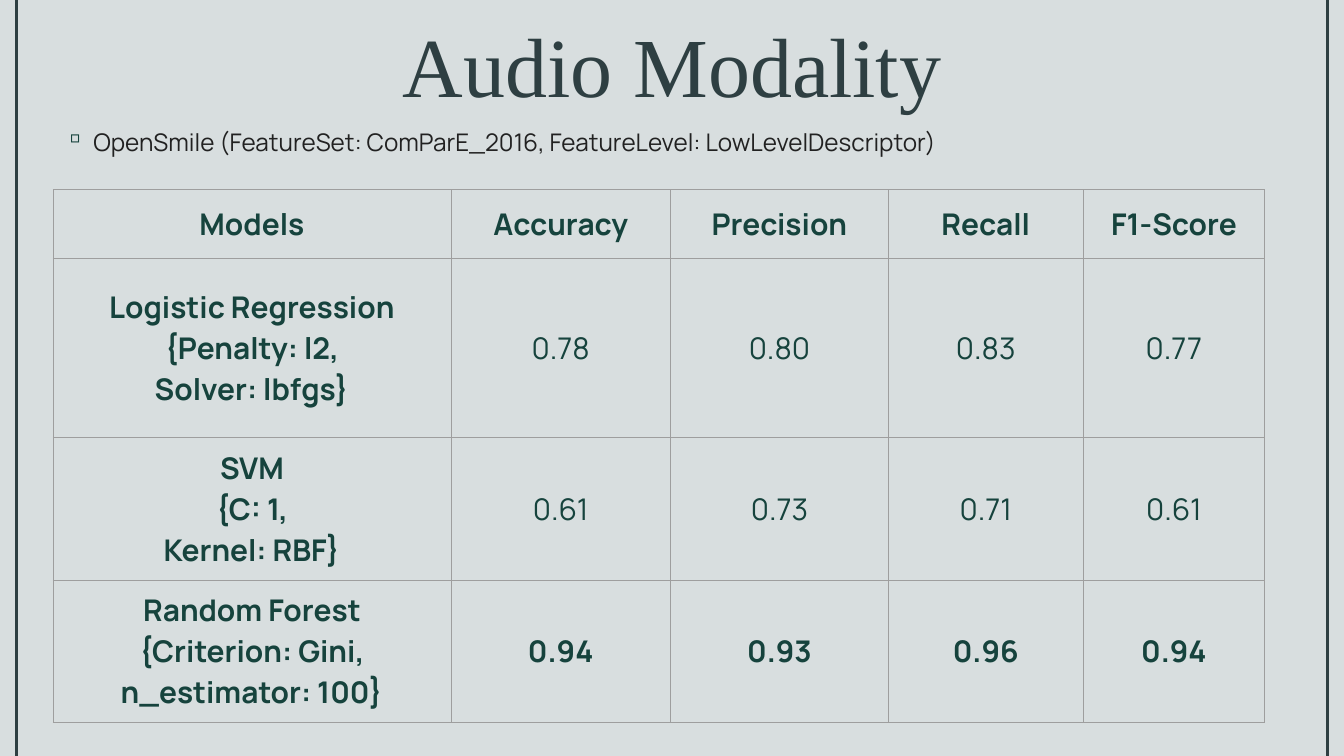
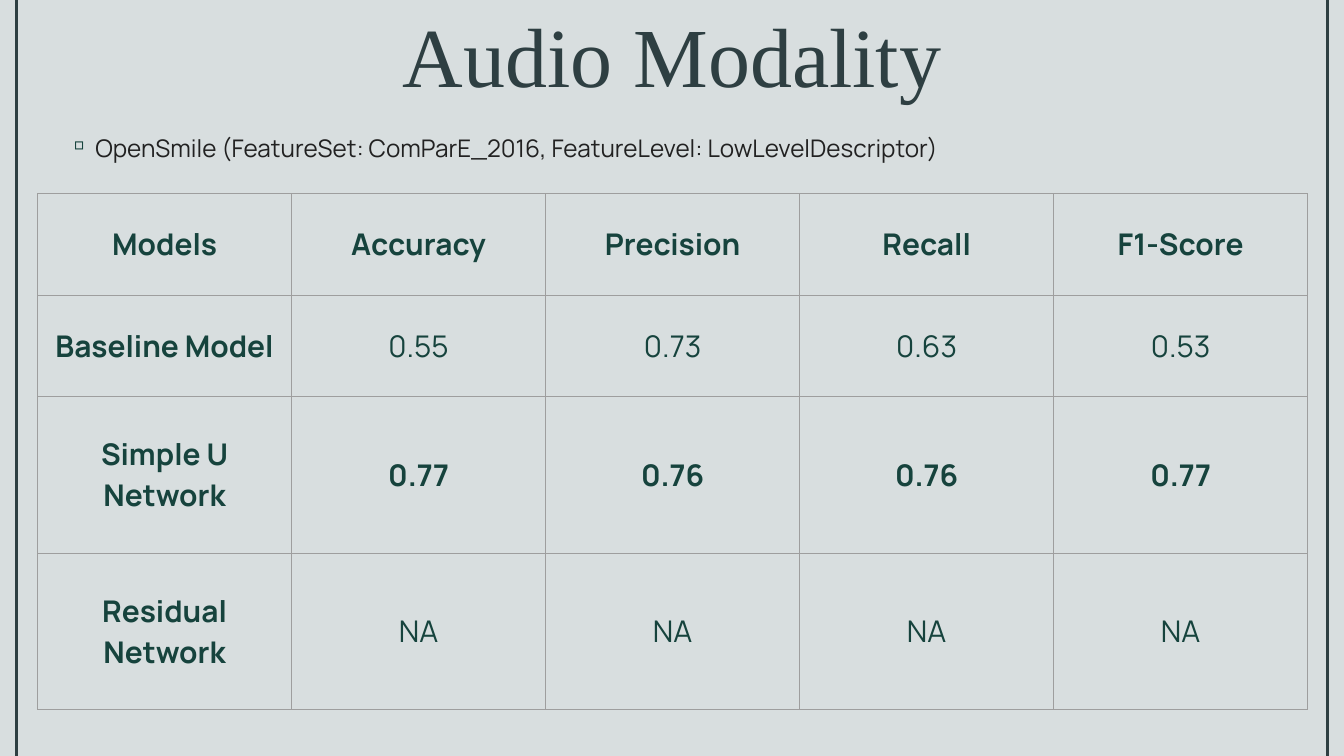
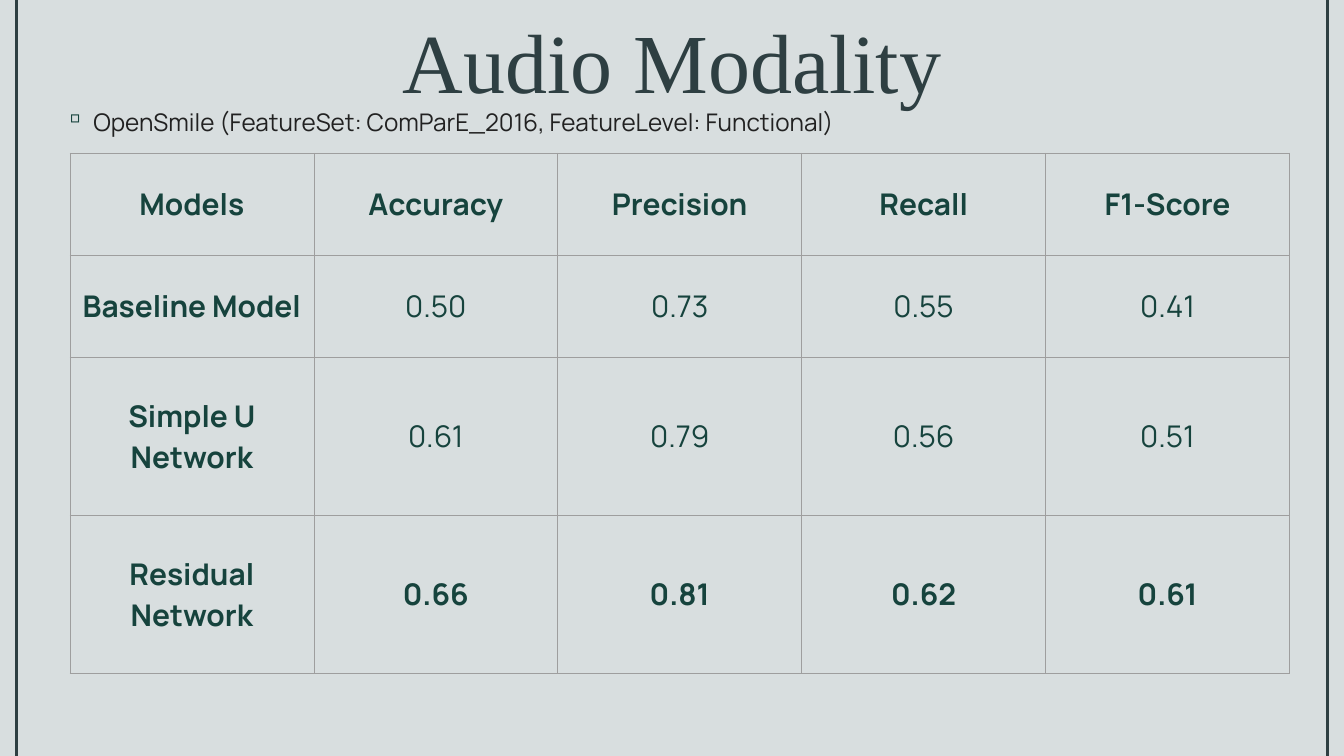
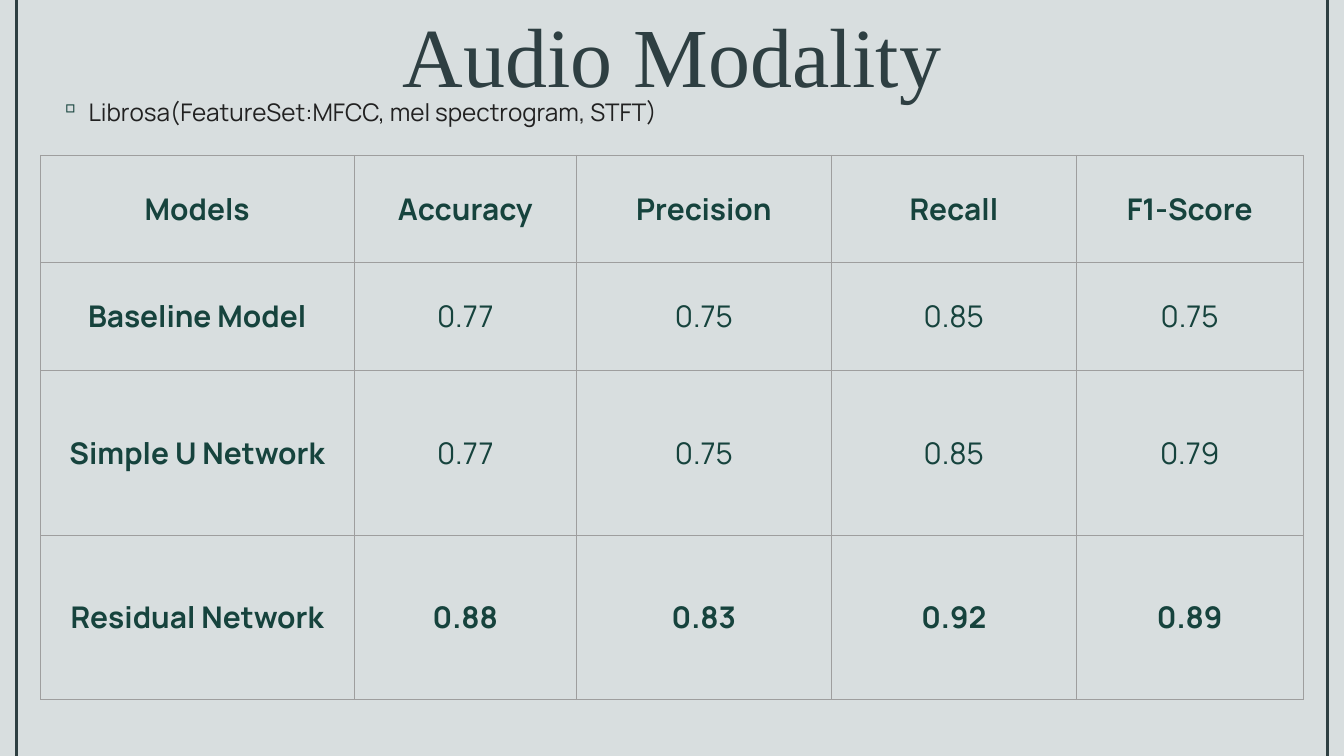
from dataclasses import dataclass

from lxml.etree import SubElement
from pptx import Presentation
from pptx.dml.color import RGBColor
from pptx.enum.shapes import MSO_CONNECTOR
from pptx.enum.text import MSO_ANCHOR, MSO_AUTO_SIZE, PP_ALIGN
from pptx.oxml.ns import qn
from pptx.slide import Slide
from pptx.table import _Cell
from pptx.text.text import TextFrame, _Paragraph
from pptx.util import Inches, Pt


@dataclass(frozen=True)
class Theme:
    background: str = "D8DEDF"
    slate: str = "2E3F42"
    green: str = "16433D"
    body: str = "212121"
    grid: str = "9E9E9E"
    title_font: str = "Times New Roman"
    body_font: str = "Manrope"
    title_size: float = 90
    table_size: float = 32
    bullet_size: float = 26
    rail_width: float = 3
    grid_width: float = 0.75


@dataclass(frozen=True)
class Box:
    left: float
    top: float
    width: float
    height: float


@dataclass(frozen=True)
class ResultTable:
    left: float
    top: float
    column_widths: list[float]
    row_heights: list[float]
    rows: list[tuple[str, ...]]
    best_row: int


@dataclass(frozen=True)
class ResultSlide:
    title_top: float
    feature_box: Box
    features: str
    table: ResultTable
    hanging: float = 0.43


THEME = Theme()
SLIDE_WIDTH, SLIDE_HEIGHT = 20, 11.25
RAIL_MARGIN = 0.24
TITLE = "Audio Modality"
HEADER = ("Models", "Accuracy", "Precision", "Recall", "F1-Score")
OPENSMILE = "OpenSmile (FeatureSet: ComParE_2016, FeatureLevel: {})"

SLIDES = [
    ResultSlide(
        0.16, Box(0.79, 1.79, 18.38, 0.93), OPENSMILE.format("LowLevelDescriptor"),
        ResultTable(0.79, 2.82, [5.92, 3.27, 3.24, 2.9, 2.7], [1.02, 2.67, 2.12, 2.12], [
            ("Logistic Regression\n{Penalty: l2,\nSolver: lbfgs}", "0.78", "0.80", "0.83", "0.77"),
            ("SVM\n{C: 1,\nKernel: RBF}", "0.61", "0.73", "0.71", "0.61"),
            ("Random Forest\n{Criterion: Gini, n_estimator: 100}", "0.94", "0.93", "0.96", "0.94"),
        ], best_row=3),
    ),
    ResultSlide(
        0, Box(0.82, 1.89, 13.34, 1.37), OPENSMILE.format("LowLevelDescriptor"),
        ResultTable(0.56, 2.88, [3.78] * 5, [1.51, 1.51, 2.33, 2.33], [
            ("Baseline Model", "0.55", "0.73", "0.63", "0.53"),
            ("Simple U Network", "0.77", "0.76", "0.76", "0.77"),
            ("Residual Network", "NA", "NA", "NA", "NA"),
        ], best_row=2),
        hanging=0.4,
    ),
    ResultSlide(
        0.1, Box(0.79, 1.5, 18.48, 0.96), OPENSMILE.format("Functional"),
        ResultTable(1.04, 2.28, [3.63] * 5, [1.52, 1.52, 2.35, 2.35], [
            ("Baseline Model", "0.50", "0.73", "0.55", "0.41"),
            ("Simple U Network", "0.61", "0.79", "0.56", "0.51"),
            ("Residual Network", "0.66", "0.81", "0.62", "0.61"),
        ], best_row=3),
    ),
    ResultSlide(
        0, Box(0.72, 1.34, 18.25, 0.97), "Librosa(FeatureSet:MFCC, mel spectrogram, STFT)",
        ResultTable(0.6, 2.31, [4.67, 3.31, 3.79, 3.65, 3.37], [1.6, 1.6, 2.45, 2.45], [
            ("Baseline Model", "0.77", "0.75", "0.85", "0.75"),
            ("Simple U Network", "0.77", "0.75", "0.85", "0.79"),
            ("Residual Network", "0.88", "0.83", "0.92", "0.89"),
        ], best_row=3),
    ),
]


def style_font(paragraph: _Paragraph, name: str, size: float, color: str, bold: bool = False) -> None:
    font = paragraph.font
    font.name, font.size, font.bold = name, Pt(size), bold
    font.color.rgb = RGBColor.from_string(color)


def set_margins(target: TextFrame | _Cell, inches: float) -> None:
    target.margin_left = target.margin_right = Inches(inches)
    target.margin_top = target.margin_bottom = Inches(inches)


def add_text(slide: Slide, box: Box, text: str, margin: float) -> TextFrame:
    shape = slide.shapes.add_textbox(
        Inches(box.left), Inches(box.top), Inches(box.width), Inches(box.height))
    frame = shape.text_frame
    frame.word_wrap = True
    set_margins(frame, margin)
    frame.text = text
    return frame


def add_title(slide: Slide, top: float) -> None:
    frame = add_text(slide, Box(0, top, SLIDE_WIDTH, 1.52), TITLE, margin=0)
    frame.auto_size = MSO_AUTO_SIZE.SHAPE_TO_FIT_TEXT
    paragraph = frame.paragraphs[0]
    paragraph.alignment = PP_ALIGN.CENTER
    paragraph.line_spacing = 1.03
    style_font(paragraph, THEME.title_font, THEME.title_size, THEME.slate)


def add_rails(slide: Slide) -> None:
    """Draw the full-height lines near both slide edges."""
    for x in (RAIL_MARGIN, SLIDE_WIDTH - RAIL_MARGIN):
        rail = slide.shapes.add_connector(
            MSO_CONNECTOR.STRAIGHT, Inches(x), Inches(SLIDE_HEIGHT), Inches(x), Inches(0))
        rail.line.color.rgb = RGBColor.from_string(THEME.slate)
        rail.line.width = Pt(THEME.rail_width)
        SubElement(rail._element.spPr, qn("a:effectLst"))


def add_feature_bullet(slide: Slide, box: Box, text: str, hanging: float) -> None:
    paragraph = add_text(slide, box, text, margin=0.1).paragraphs[0]
    properties = paragraph._p.get_or_add_pPr()
    properties.set("marL", str(Inches(0.5)))
    properties.set("indent", str(-Inches(hanging)))
    bullet_color = SubElement(properties, qn("a:buClr"))
    SubElement(bullet_color, qn("a:srgbClr"), val=THEME.green)
    SubElement(properties, qn("a:buChar"), char="▫")
    style_font(paragraph, THEME.body_font, THEME.bullet_size, THEME.body)


def add_borders(cell: _Cell) -> None:
    properties = cell._tc.get_or_add_tcPr()
    for side in ("lnL", "lnR", "lnT", "lnB"):
        line = SubElement(properties, qn(f"a:{side}"), w=str(Pt(THEME.grid_width)))
        fill = SubElement(line, qn("a:solidFill"))
        SubElement(fill, qn("a:srgbClr"), val=THEME.grid)


def fill_cell(cell: _Cell, text: str, bold: bool) -> None:
    add_borders(cell)
    cell.fill.background()
    cell.vertical_anchor = MSO_ANCHOR.MIDDLE
    set_margins(cell, 0.1)
    cell.text = text
    for paragraph in cell.text_frame.paragraphs:
        paragraph.alignment = PP_ALIGN.CENTER
        style_font(paragraph, THEME.body_font, THEME.table_size, THEME.green, bold)


def add_results(slide: Slide, results: ResultTable) -> None:
    """Draw the score table with its header, model names and best row in bold."""
    rows = [HEADER, *results.rows]
    table = slide.shapes.add_table(
        len(rows), len(HEADER), Inches(results.left), Inches(results.top),
        Inches(sum(results.column_widths)), Inches(sum(results.row_heights))).table
    table.first_row = table.horz_banding = False
    for column, width in zip(table.columns, results.column_widths):
        column.width = Inches(width)
    for row, height in zip(table.rows, results.row_heights):
        row.height = Inches(height)
    for row_index, values in enumerate(rows):
        for column_index, value in enumerate(values):
            bold = column_index == 0 or row_index in (0, results.best_row)
            fill_cell(table.cell(row_index, column_index), value, bold)


def main() -> None:
    presentation = Presentation()
    presentation.slide_width = Inches(SLIDE_WIDTH)
    presentation.slide_height = Inches(SLIDE_HEIGHT)
    for content in SLIDES:
        slide = presentation.slides.add_slide(presentation.slide_layouts[6])
        slide.background.fill.solid()
        slide.background.fill.fore_color.rgb = RGBColor.from_string(THEME.background)
        add_title(slide, content.title_top)
        add_rails(slide)
        add_feature_bullet(slide, content.feature_box, content.features, content.hanging)
        add_results(slide, content.table)
    presentation.save("out.pptx")


if __name__ == "__main__":
    main()
